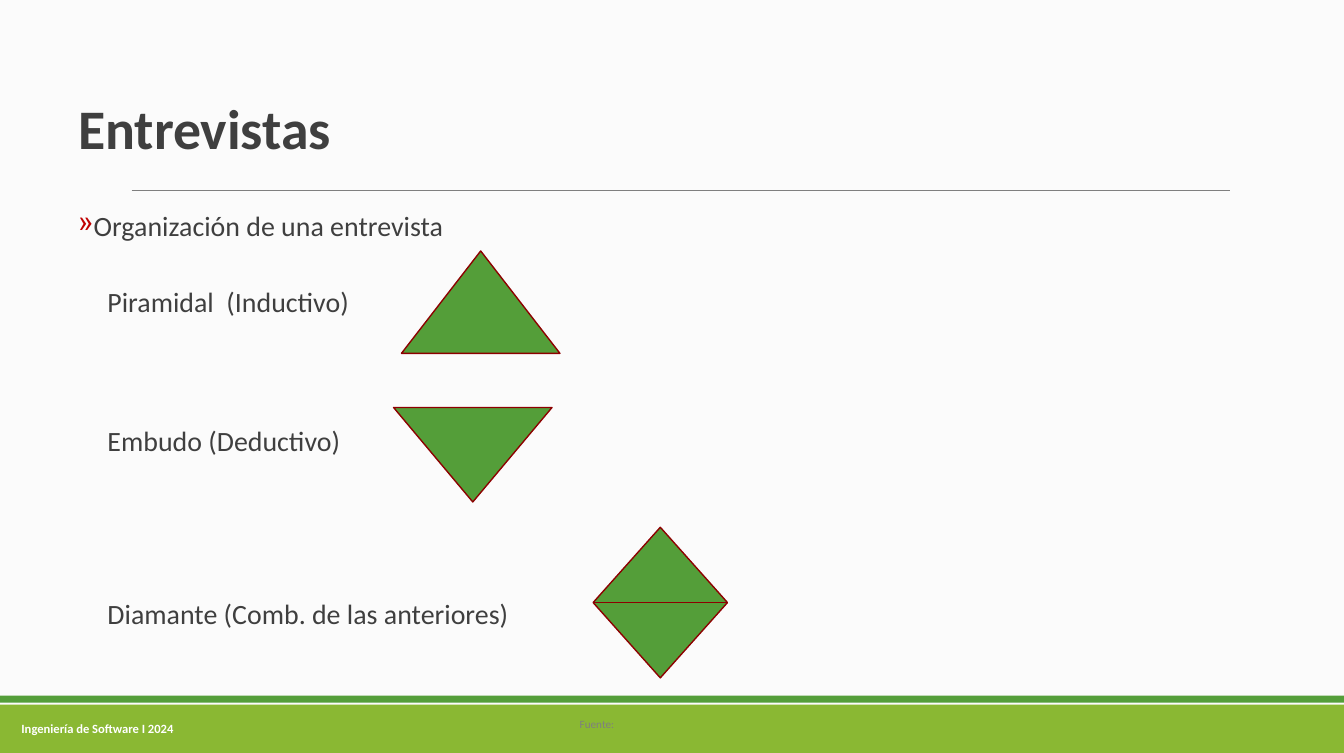
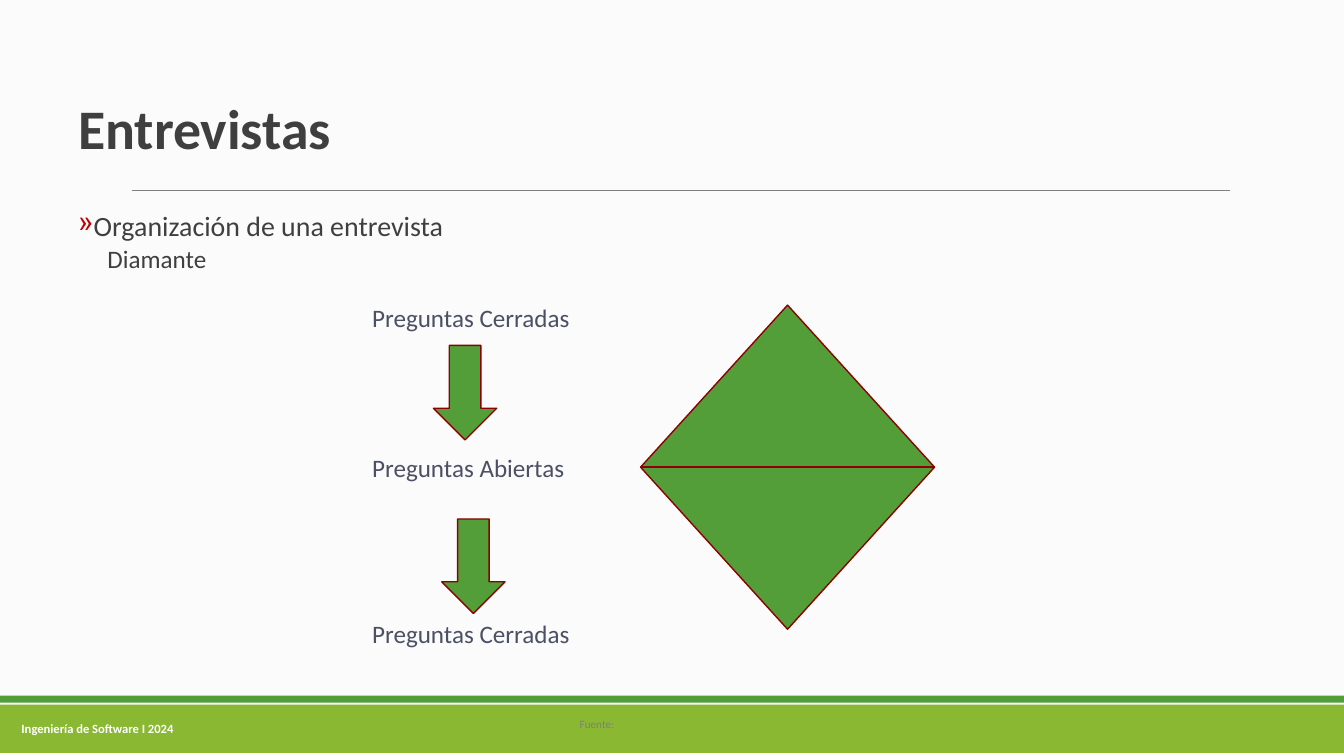
from dataclasses import dataclass

from lxml import etree
from pptx import Presentation, util as u
from pptx.dml.color import RGBColor
from pptx.enum import shapes, text
from pptx.oxml.ns import qn

Cm, Pt = u.Cm, u.Pt
MSO, ALIGN, ANCHOR = shapes.MSO_SHAPE, text.PP_ALIGN, text.MSO_ANCHOR


@dataclass(frozen=True)
class Theme:
    font: str = "Calibri"
    background: str = "FBFBFB"
    band: str = "8AB833"
    green: str = "549E39"
    outline: str = "8C0000"
    grey: str = "7F7F7F"
    ink: str = "3F3F3F"
    slate: str = "4B5064"
    bullet: str = "C00000"
    white: str = "FFFFFF"
    title_pt: int = 40
    body_pt: int = 20
    label_pt: int = 18
    footer_pt: int = 9
    source_pt: int = 8


T = Theme()
WIDTH, HEIGHT = 34.01, 19.05
LINE_SPACING = 0.85


@dataclass(frozen=True)
class Box:
    """Left, top, width and height in centimetres."""
    x: float
    y: float
    w: float
    h: float

    def lengths(self) -> tuple:
        return Cm(self.x), Cm(self.y), Cm(self.w), Cm(self.h)


@dataclass(frozen=True)
class Line:
    """One paragraph; before is its space before in points."""
    text: str
    size: int
    color: str = T.ink
    bold: bool = False
    before: float = 0
    indent: float = 0
    bullet: str = ""
    spacing: float = 1
    align: ALIGN = ALIGN.LEFT


@dataclass(frozen=True)
class Figure:
    kind: MSO
    box: Box


@dataclass(frozen=True)
class Label:
    box: Box
    line: Line


@dataclass(frozen=True)
class Page:
    items: tuple
    figures: tuple
    labels: tuple = ()


def item(words: str, size: int, before: float) -> Line:
    return Line(words, size, before=before, indent=0.74, spacing=LINE_SPACING)


def question(words: str, y: float) -> Label:
    return Label(Box(9.17, y, 5.54, 1.0), Line(words, T.label_pt, T.slate))


def arrow(x: float, y: float) -> Figure:
    return Figure(MSO.DOWN_ARROW, Box(x, y, 1.6, 2.39))


TITLE = Line("Entrevistas", T.title_pt, bold=True, spacing=LINE_SPACING)
TOPIC = Line("Organización de una entrevista", T.body_pt, indent=0.2,
             bullet="»", spacing=LINE_SPACING)
FOOTER = Line("Ingeniería de Software I 2024", T.footer_pt, T.white,
              bold=True, align=ALIGN.CENTER)
SOURCE = Line("Fuente:", T.source_pt, T.grey)

PAGES = (
    Page(
        items=(item("Piramidal  (Inductivo)", T.body_pt, 34.5),
               item("Embudo (Deductivo)", T.body_pt, 79),
               item("Diamante (Comb. de las anteriores)", T.body_pt, 103.5)),
        figures=(Figure(MSO.ISOSCELES_TRIANGLE, Box(10.16, 6.35, 4.01, 2.59)),
                 Figure(MSO.FLOWCHART_MERGE, Box(9.96, 10.31, 4.01, 2.39)),
                 Figure(MSO.FLOWCHART_SORT, Box(15.01, 13.34, 3.4, 3.81))),
    ),
    Page(
        items=(item("Diamante", T.label_pt, 4.5),),
        figures=(arrow(10.97, 8.74), arrow(11.18, 13.13),
                 Figure(MSO.FLOWCHART_SORT, Box(16.21, 7.72, 7.44, 8.2))),
        labels=(question("Preguntas Cerradas", 7.52),
                question("Preguntas Abiertas", 11.33),
                question("Preguntas Cerradas", 15.52)),
    ),
)


def rgb(color: str) -> RGBColor:
    return RGBColor.from_string(color)


def set_indent(p, line: Line) -> None:
    """Hang the paragraph on its bullet, or indent it whole without one."""
    pPr = p._p.get_or_add_pPr()
    margin = Cm(line.indent)
    pPr.set("marL", str(margin))
    pPr.set("indent", str(-margin if line.bullet else 0))
    if line.bullet:
        color = etree.SubElement(pPr, qn("a:buClr"))
        etree.SubElement(color, qn("a:srgbClr")).set("val", T.bullet)
        etree.SubElement(pPr, qn("a:buChar")).set("char", line.bullet)
    else:
        etree.SubElement(pPr, qn("a:buNone"))


def add_text(s, box: Box, *lines: Line, anchor: ANCHOR = ANCHOR.TOP) -> None:
    tf = s.shapes.add_textbox(*box.lengths()).text_frame
    tf.word_wrap = True
    tf.vertical_anchor = anchor
    for i, line in enumerate(lines):
        p = tf.add_paragraph() if i else tf.paragraphs[0]
        set_indent(p, line)
        p.alignment = line.align
        p.line_spacing = line.spacing
        p.space_before = Pt(line.before)
        r = p.add_run()
        r.text = line.text
        r.font.name = T.font
        r.font.size = Pt(line.size)
        r.font.bold = line.bold
        r.font.color.rgb = rgb(line.color)


def add_figure(s, figure: Figure, fill: str = T.green,
               outline: str = T.outline) -> None:
    sp = s.shapes.add_shape(figure.kind, *figure.box.lengths())
    sp.shadow.inherit = False
    sp.fill.solid()
    sp.fill.fore_color.rgb = rgb(fill)
    if outline:
        sp.line.color.rgb = rgb(outline)
        sp.line.width = Pt(1)
    else:
        sp.line.fill.background()


def add_rule(s, x1: float, x2: float, y: float) -> None:
    rule = s.shapes.add_connector(shapes.MSO_CONNECTOR.STRAIGHT,
                                  Cm(x1), Cm(y), Cm(x2), Cm(y))
    rule.line.color.rgb = rgb(T.grey)
    rule.line.width = Pt(0.75)
    etree.SubElement(rule._element.spPr, qn("a:effectLst"))


def add_frame(s) -> None:
    """Draw what every slide shares: background, bands, rule, title, footer."""
    s.background.fill.solid()
    s.background.fill.fore_color.rgb = rgb(T.background)
    for y, h, color in ((17.83, 1.22, T.band), (17.6, 0.18, T.green)):
        add_figure(s, Figure(MSO.RECTANGLE, Box(0, y, WIDTH, h)), color, "")
    add_rule(s, 3.33, 31.12, 4.83)
    add_text(s, Box(0, 17.91, 4.93, 1.02), FOOTER, anchor=ANCHOR.MIDDLE)
    add_text(s, Box(14.42, 17.81, 4, 1.02), SOURCE, anchor=ANCHOR.MIDDLE)
    add_text(s, Box(1.73, 1.78, 30.05, 3.12), TITLE, anchor=ANCHOR.MIDDLE)


def main() -> None:
    prs = Presentation()
    prs.slide_width, prs.slide_height = Cm(WIDTH), Cm(HEIGHT)
    for page in PAGES:
        s = prs.slides.add_slide(prs.slide_layouts[6])
        add_frame(s)
        add_text(s, Box(1.73, 5.28, 27.3, 12.3), TOPIC, *page.items)
        for figure in page.figures:
            add_figure(s, figure)
        for label in page.labels:
            add_text(s, label.box, label.line)
    prs.save("out.pptx")


if __name__ == "__main__":
    main()
